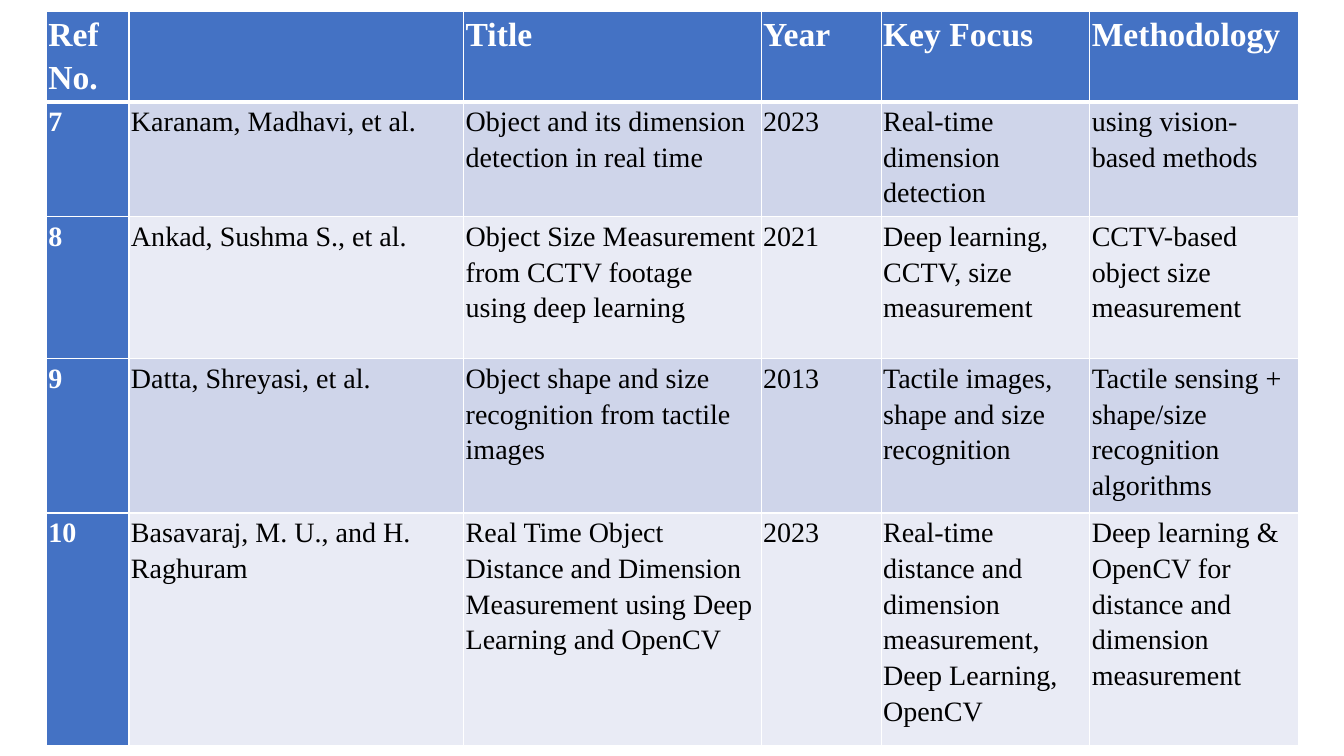
from dataclasses import dataclass

from lxml.etree import SubElement
from pptx import Presentation
from pptx.dml.color import RGBColor
from pptx.oxml.ns import qn
from pptx.table import _Cell
from pptx.util import Emu, Pt

EMU_PER_PX = 9144  # 100 px to the inch


@dataclass(frozen=True)
class Theme:
    font: str = "Times New Roman"
    header_size: int = 24
    body_size: int = 20
    line_spacing: float = 1.15
    accent: str = "4472C4"
    bands: tuple[str, str] = ("CFD5EA", "E9EBF5")
    light: str = "FFFFFF"
    dark: str = "000000"
    rule: int = 1
    header_rule: int = 3


@dataclass(frozen=True)
class Study:
    ref: str
    authors: str
    title: str
    year: str
    focus: str
    method: str
    height: int

    def texts(self) -> list[str]:
        return [self.ref, self.authors, self.title, self.year, self.focus, self.method]


THEME = Theme()
COLUMN_WIDTHS = [82, 332, 295, 119, 207, 207]
HEADER = Study("Ref No.", "", "Title", "Year", "Key Focus", "Methodology", 90)
STUDIES = [
    Study("7", "Karanam, Madhavi, et al.",
          "Object and its dimension detection in real time", "2023",
          "Real-time dimension detection", "using vision-based methods", 114),
    Study("8", "Ankad, Sushma S., et al.",
          "Object Size Measurement from CCTV footage using deep learning", "2021",
          "Deep learning, CCTV, size measurement",
          "CCTV-based object size measurement", 141),
    Study("9", "Datta, Shreyasi, et al.",
          "Object shape and size recognition from tactile images", "2013",
          "Tactile images, shape and size recognition",
          "Tactile sensing + shape/size recognition algorithms", 153),
    Study("10", "Basavaraj, M. U., and H. Raghuram",
          "Real Time Object Distance and Dimension Measurement using Deep Learning and OpenCV",
          "2023",
          "Real-time distance and dimension measurement, Deep Learning, OpenCV",
          "Deep learning & OpenCV for distance and dimension measurement", 231),
]


def px(length: int) -> Emu:
    return Emu(length * EMU_PER_PX)


def write(cell: _Cell, text: str, *, size: int, color: str, bold: bool) -> None:
    cell.margin_left = cell.margin_right = px(2)
    cell.margin_top = cell.margin_bottom = 0
    paragraph = cell.text_frame.paragraphs[0]
    paragraph.line_spacing = THEME.line_spacing
    if not text:
        return
    run = paragraph.add_run()
    run.text = text
    run.font.name = THEME.font
    run.font.size = Pt(size)
    run.font.bold = bold
    run.font.color.rgb = RGBColor.from_string(color)


def add_borders(cell: _Cell, *, top: int, bottom: int) -> None:
    properties = cell._tc.get_or_add_tcPr()
    widths = {"L": THEME.rule, "R": THEME.rule, "T": top, "B": bottom}
    for side, width in widths.items():
        line = SubElement(properties, qn(f"a:ln{side}"), w=str(Pt(width)))
        fill = SubElement(line, qn("a:solidFill"))
        SubElement(fill, qn("a:srgbClr"), val=THEME.light)


def paint(cell: _Cell, color: str) -> None:
    cell.fill.solid()
    cell.fill.fore_color.rgb = RGBColor.from_string(color)


def main() -> None:
    presentation = Presentation()
    presentation.slide_width, presentation.slide_height = px(1333), px(750)
    slide = presentation.slides.add_slide(presentation.slide_layouts[6])

    # Table grid
    studies = [HEADER, *STUDIES]
    survey = slide.shapes.add_table(
        len(studies), len(COLUMN_WIDTHS), px(46), px(11),
        px(sum(COLUMN_WIDTHS)), px(sum(study.height for study in studies)),
    ).table
    for column, width in zip(survey.columns, COLUMN_WIDTHS):
        column.width = px(width)

    # Header row, reference column and banded body
    for row, study in enumerate(studies):
        survey.rows[row].height = px(study.height)
        for column, text in enumerate(study.texts()):
            cell = survey.cell(row, column)
            heading = row == 0 or column == 0
            write(cell, text,
                  size=THEME.header_size if row == 0 else THEME.body_size,
                  color=THEME.light if heading else THEME.dark, bold=heading)
            add_borders(cell,
                        top=THEME.header_rule if row == 1 else THEME.rule,
                        bottom=THEME.header_rule if row == 0 else THEME.rule)
            paint(cell, THEME.accent if heading else THEME.bands[(row - 1) % 2])

    presentation.save("out.pptx")


if __name__ == "__main__":
    main()
